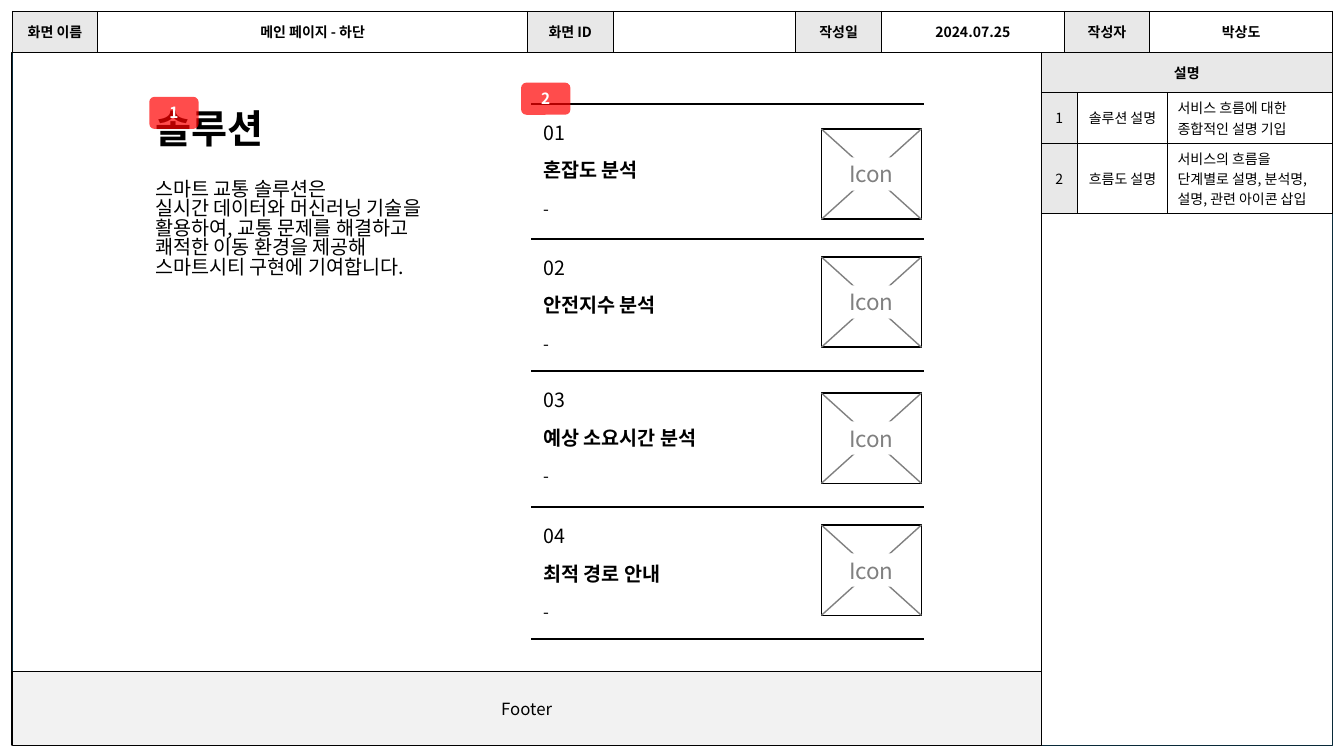
from dataclasses import dataclass
from lxml.etree import SubElement, fromstring
from pptx import Presentation
from pptx.dml.color import RGBColor
from pptx.enum.shapes import MSO_CONNECTOR, MSO_SHAPE
from pptx.enum.text import MSO_ANCHOR, MSO_AUTO_SIZE, PP_ALIGN
from pptx.oxml.ns import nsdecls, qn
from pptx.util import Pt

HEADER = ["화면 이름", "메인 페이지 - 하단", "화면 ID", "", "작성일", "2024.07.25", "작성자", "박상도"]
NOTES_TITLE = "설명"
NOTES = [
    ("1", "솔루션 설명", "서비스 흐름에 대한 종합적인 설명 기입"),
    ("2", "흐름도 설명", "서비스의 흐름을 단계별로 설명, 분석명, 설명, 관련 아이콘 삽입"),
]
TITLE = "솔루션"
INTRO = [
    "스마트 교통 솔루션은",
    "실시간 데이터와 머신러닝 기술을",
    "활용하여, 교통 문제를 해결하고",
    "쾌적한 이동 환경을 제공해",
    "스마트시티 구현에 기여합니다.",
]
# name, name width, rule above, top of icon
FEATURES = [
    ("혼잡도 분석", 90, 74.2, 92.2),
    ("안전지수 분석", 104.4, 170.6, 183.6),
    ("예상 소요시간 분석", 137.5, 265, 280.8),
    ("최적 경로 안내", 109.4, 362.2, 375.1),
]
LAST_RULE = 456.5
FOOTER = "Footer"
BADGES = [("1", 106.6, 69.1), ("2", 372.2, 59)]


@dataclass(frozen=True)
class Theme:
    font: str = "Noto Sans CJK KR"
    ink: str = "000000"
    frame: str = "092A39"
    label: str = "E8E8E8"
    footer: str = "F2F2F2"
    icon: str = "808080"
    paper: str = "FFFFFF"
    badge: str = "FF0000"
    table_size: float = 10
    badge_size: float = 11
    small_size: float = 12
    body_size: float = 14
    icon_size: float = 16
    title_size: float = 28
    tight: float = 0.83


THEME = Theme()
LEFT, TOP, WIDTH, HEIGHT = 8.64, 7.92, 943.2, 524.2
HEADER_HEIGHT = 29.5
MAIN_WIDTH = 735.1
MAIN_TOP = TOP + HEADER_HEIGHT
LABEL_WIDTH, NAME_WIDTH, VALUE_WIDTH = 61.2, 306.9, 130.5
NOTE_WIDTHS = [25.9, 64.4, 117.8]
NOTE_ROW = 28.8
RULE_LEFT, RULE_RIGHT = 379.4, 660.2
FEATURE_LEFT = 380.9
ICON_LEFT, ICON_WIDTH, ICON_HEIGHT = 586.8, 71.3, 64.4

presentation = Presentation()
presentation.slide_width, presentation.slide_height = Pt(960), Pt(540)
slide = presentation.slides.add_slide(presentation.slide_layouts[6])


def write(frame, lines, size, color=THEME.ink, bold=False, align=PP_ALIGN.LEFT, spacing=None):
    frame.text = "\n".join(lines)
    for paragraph in frame.paragraphs:
        paragraph.alignment = align
        if spacing:
            paragraph.line_spacing = spacing
        for run in paragraph.runs:
            font = run.font
            font.name, font.size, font.bold = THEME.font, Pt(size), bold
            font.color.rgb = RGBColor.from_string(color)
            SubElement(font._element, qn("a:ea")).set("typeface", THEME.font)


def add_block(kind, left, top, width, height, fill=None, line=None, weight=1):
    block = slide.shapes.add_shape(kind, Pt(left), Pt(top), Pt(width), Pt(height))
    block.shadow.inherit = False
    if fill:
        block.fill.solid()
        block.fill.fore_color.rgb = RGBColor.from_string(fill)
    else:
        block.fill.background()
    if line:
        block.line.color.rgb = RGBColor.from_string(line)
        block.line.width = Pt(weight)
    else:
        block.line.fill.background()
    return block


def add_line(x1, y1, x2, y2, color=THEME.ink):
    line = slide.shapes.add_connector(MSO_CONNECTOR.STRAIGHT, Pt(x1), Pt(y1), Pt(x2), Pt(y2))
    line.line.color.rgb = RGBColor.from_string(color)
    line.line.width = Pt(1)
    SubElement(line._element.spPr, qn("a:effectLst"))


def add_text(lines, left, top, width, height, size, bold=False, wrap=False):
    box = slide.shapes.add_textbox(Pt(left), Pt(top), Pt(width), Pt(height))
    write(box.text_frame, lines, size, bold=bold, spacing=THEME.tight)
    box.text_frame.word_wrap = wrap
    box.text_frame.auto_size = MSO_AUTO_SIZE.SHAPE_TO_FIT_TEXT


def add_grid(left, top, widths, heights):
    shape = slide.shapes.add_table(len(heights), len(widths), Pt(left), Pt(top),
                                   Pt(sum(widths)), Pt(sum(heights)))
    grid = shape.table
    grid.first_row = grid.horz_banding = False
    for column, width in zip(grid.columns, widths):
        column.width = Pt(width)
    for row, height in zip(grid.rows, heights):
        row.height = Pt(height)
    return grid


def fill_cell(cell, text, label=False, bold=False, align=PP_ALIGN.CENTER):
    cell.vertical_anchor = MSO_ANCHOR.MIDDLE
    if text:
        write(cell.text_frame, [text], THEME.table_size, bold=bold, align=align)
    else:
        cell.margin_top = cell.margin_bottom = 0
    if label:
        cell.fill.solid()
        cell.fill.fore_color.rgb = RGBColor.from_string(THEME.label)
    else:
        cell.fill.background()
    for position, side in enumerate(("lnL", "lnR", "lnT", "lnB")):
        border = fromstring(
            f'<a:{side} {nsdecls("a")} w="{Pt(0.5)}"><a:solidFill>'
            f'<a:srgbClr val="{THEME.ink}"/></a:solidFill></a:{side}>')
        cell._tc.get_or_add_tcPr().insert(position, border)


def add_badge(number, left, top):
    badge = add_block(MSO_SHAPE.ROUNDED_RECTANGLE, left, top, 35.3, 23, THEME.badge)
    tint = badge.fill._xPr.find(".//" + qn("a:srgbClr"))
    SubElement(tint, qn("a:alpha")).set("val", "70000")
    badge.text_frame.vertical_anchor = MSO_ANCHOR.TOP
    write(badge.text_frame, [number], THEME.badge_size, THEME.paper, True, PP_ALIGN.CENTER)


def add_icon(top):
    right, bottom = ICON_LEFT + ICON_WIDTH, top + ICON_HEIGHT
    add_block(MSO_SHAPE.RECTANGLE, ICON_LEFT, top, ICON_WIDTH, ICON_HEIGHT, THEME.paper, THEME.ink)
    add_line(ICON_LEFT, bottom, right, top, THEME.icon)
    add_line(ICON_LEFT, top, right, bottom, THEME.icon)
    caption = add_block(MSO_SHAPE.RECTANGLE, ICON_LEFT + 8.6, top + 20.2, 54, 23.8, THEME.paper)
    caption.text_frame.vertical_anchor = MSO_ANCHOR.MIDDLE
    write(caption.text_frame, ["Icon"], THEME.icon_size, THEME.icon, align=PP_ALIGN.CENTER)


add_block(MSO_SHAPE.RECTANGLE, LEFT, MAIN_TOP, MAIN_WIDTH, HEIGHT - HEADER_HEIGHT, line=THEME.ink)
add_block(MSO_SHAPE.RECTANGLE, LEFT, TOP, WIDTH, HEIGHT, line=THEME.frame, weight=0.5)

header = add_grid(LEFT, TOP, [LABEL_WIDTH, NAME_WIDTH] + [LABEL_WIDTH, VALUE_WIDTH] * 3,
                  [HEADER_HEIGHT])
for column, text in enumerate(HEADER):
    fill_cell(header.cell(0, column), text, label=column % 2 == 0, bold=True)

notes = add_grid(LEFT + MAIN_WIDTH, MAIN_TOP, NOTE_WIDTHS, [NOTE_ROW] * (1 + len(NOTES)))
for column in range(len(NOTE_WIDTHS)):
    fill_cell(notes.cell(0, column), "" if column else NOTES_TITLE, label=True, bold=True)
notes.cell(0, 0).merge(notes.cell(0, len(NOTE_WIDTHS) - 1))
for row, note in enumerate(NOTES, 1):
    for column, text in enumerate(note):
        fill_cell(notes.cell(row, column), text, label=column == 0,
                  align=PP_ALIGN.LEFT if column == 2 else PP_ALIGN.CENTER)

footer = add_block(MSO_SHAPE.RECTANGLE, LEFT, 479.5, MAIN_WIDTH, 53.3, THEME.footer, THEME.ink, 0.75)
footer.text_frame.vertical_anchor = MSO_ANCHOR.MIDDLE
write(footer.text_frame, [FOOTER], THEME.small_size, align=PP_ALIGN.CENTER)

add_text(INTRO, 103.7, 125.3, 234.7, 92.2, THEME.body_size, wrap=True)
add_text([TITLE], 103.7, 77, 99.4, 41, THEME.title_size, bold=True)
add_badge(*BADGES[0])

for number, (name, name_width, rule, icon_top) in enumerate(FEATURES, 1):
    add_line(RULE_LEFT, rule, RULE_RIGHT, rule)
    add_text([f"{number:02}"], FEATURE_LEFT, rule + 11.5, 30.2, 24.5, THEME.body_size)
    add_text([name], FEATURE_LEFT, rule + 38.2, name_width, 24.5, THEME.body_size, bold=True)
    add_text(["-"], FEATURE_LEFT, rule + 66.6, 19.4, 21.6, THEME.small_size)
    add_icon(icon_top)
add_line(RULE_LEFT, LAST_RULE, RULE_RIGHT, LAST_RULE)
add_badge(*BADGES[1])

presentation.save("out.pptx")
